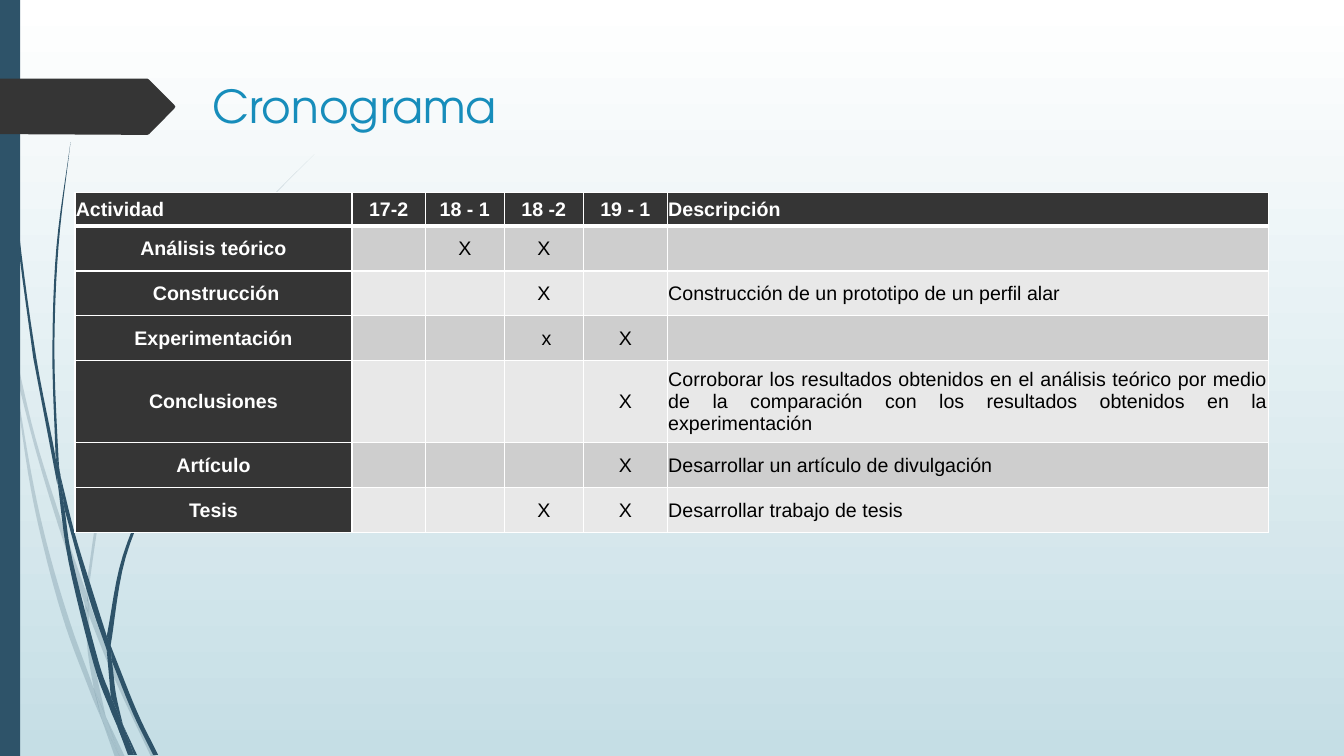
from lxml.etree import SubElement
from pptx import Presentation
from pptx.dml.color import RGBColor
from pptx.enum.shapes import MSO_SHAPE as Preset
from pptx.enum.text import MSO_ANCHOR as Anchor, PP_ALIGN as Align
from pptx.oxml.ns import qn
from pptx.util import Cm, Pt

WHITE = RGBColor(0xFF, 0xFF, 0xFF)
BLACK = RGBColor(0x00, 0x00, 0x00)
PALE_BLUE = RGBColor(0xC5, 0xDE, 0xE5)
NAVY = RGBColor(0x2E, 0x53, 0x69)
TITLE_BLUE = RGBColor(0x17, 0x8D, 0xBB)
CHARCOAL = RGBColor(0x35, 0x35, 0x35)
DARK_BAND = RGBColor(0xCE, 0xCE, 0xCE)
LIGHT_BAND = RGBColor(0xE8, 0xE8, 0xE8)
INCH = 2.54
STEPS = 6


def paint(shape, color):
    shape.fill.solid()
    shape.fill.fore_color.rgb = color
    shape.line.fill.background()
    shape.shadow.inherit = False


def smooth(edge):
    first = [2 * a - b for a, b in zip(edge[0], edge[1])]
    last = [2 * a - b for a, b in zip(edge[-1], edge[-2])]
    padded = [first, *edge, last]
    points = []
    for before, start, end, after in zip(padded, padded[1:], padded[2:], padded[3:]):
        for step in range(STEPS):
            t = step / STEPS
            points.append(tuple(
                Cm(INCH * (b + t * (c - a) / 2
                           + t**2 * (2 * a - 5 * b + 4 * c - d) / 2
                           + t**3 * (3 * b - a - 3 * c + d) / 2))
                for a, b, c, d in zip(before, start, end, after)))
    return points + [tuple(Cm(INCH * value) for value in edge[-1])]


presentation = Presentation()
presentation.slide_width = Cm(33.87)
presentation.slide_height = Cm(19.05)
slide = presentation.slides.add_slide(presentation.slide_layouts[6])

background = slide.background.fill
background.gradient()
background.gradient_angle = 270
for stop, color in zip(background.gradient_stops, (WHITE, PALE_BLUE)):
    stop.color.rgb = color

faint_blades = [
    ([(0, 2.82), (0.09, 3.22), (0.11, 3.5)], [(0.1, 3.44), (0, 2.99)]),
    ([(0.14, 3.45), (0.35, 4.34), (0.62, 5.2), (0.85, 5.86)],
     [(0.84, 5.99), (0.58, 5.22), (0.36, 4.49), (0.17, 3.76)]),
    ([(0.88, 5.96), (1.08, 6.49), (1.27, 6.92), (1.55, 7.51)],
     [(1.5, 7.51), (1.23, 6.94), (1.05, 6.53), (0.88, 6.1)]),
    ([(1.05, 7.11), (1.24, 7.51)], [(1.19, 7.51), (1.05, 7.11)]),
    ([(0.11, 3.5), (0.31, 4.69), (0.48, 5.45), (0.7, 6.19), (0.93, 6.83), (1.01, 7.14)],
     [(0.92, 6.93), (0.65, 6.21), (0.44, 5.46), (0.28, 4.7), (0.11, 3.5)]),
    ([(0.84, 5.99), (0.88, 6.1), (0.91, 6.46), (1.05, 7.11)],
     [(0.93, 6.83), (0.87, 6.46), (0.84, 5.99)]),
    ([(3.12, 1.53), (2.68, 1.98), (2.29, 2.45), (1.6, 3.49), (1.1, 4.62), (0.88, 5.84),
      (0.88, 5.96)],
     [(0.85, 5.84), (1.07, 4.61), (1.58, 3.48), (2.28, 2.44), (2.68, 1.97), (3.12, 1.53)]),
    ([(1.01, 7.14), (1.19, 7.51)], [(1.14, 7.51), (1.01, 7.14)]),
    ([(0.85, 5.86), (0.88, 5.96), (0.88, 6.1)], [(0.84, 5.99), (0.85, 5.86)]),
    ([(0.93, 6.83), (1.05, 7.11), (1.19, 7.51)], [(1.01, 7.14), (0.93, 6.83)]),
]
solid_blades = [
    ([(0.04, 0), (0.08, 1.09), (0.19, 2.32), (0.36, 3.55), (0.55, 4.53), (0.57, 4.81)],
     [(0.33, 3.55), (0.17, 2.33), (0.07, 1.1), (0.03, 0)]),
    ([(0.6, 4.72), (0.75, 5.32), (0.93, 5.9), (1.06, 6.31)],
     [(1.06, 6.45), (0.88, 5.92), (0.64, 5.05)]),
    ([(1.1, 6.41), (1.36, 7.06), (1.57, 7.49)],
     [(1.52, 7.49), (1.32, 7.08), (1.11, 6.56)]),
    ([(0.57, 4.77), (0.64, 5.05), (0.72, 5.56), (0.98, 6.57), (1.1, 6.91), (1.17, 7.22)],
     [(1.11, 7.08), (0.93, 6.59), (0.68, 5.57), (0.57, 4.77)]),
    ([(0.7, 1.41), (0.58, 2.45), (0.54, 3.49), (0.58, 4.53), (0.6, 4.72)],
     [(0.55, 4.49), (0.52, 3.49), (0.56, 2.45), (0.7, 1.41)]),
    ([(1.22, 7.19), (1.36, 7.49)], [(1.33, 7.49), (1.22, 7.19)]),
    ([(0.55, 4.49), (0.6, 4.72), (0.64, 5.05)], [(0.57, 4.77), (0.55, 4.49)]),
    ([(2.6, 3.44), (2.31, 3.74), (2.05, 4.06), (1.58, 4.76), (1.25, 5.52), (1.11, 6.33),
      (1.1, 6.41)],
     [(1.06, 6.31), (1.22, 5.51), (1.56, 4.74), (2.04, 4.05), (2.31, 3.73), (2.6, 3.44)]),
    ([(1.17, 7.22), (1.31, 7.49)], [(1.27, 7.49), (1.17, 7.22)]),
    ([(1.06, 6.45), (1.11, 6.56), (1.15, 6.88), (1.22, 7.19)],
     [(1.1, 6.91), (1.06, 6.45)]),
    ([(1.06, 6.31), (1.1, 6.41), (1.11, 6.56)], [(1.06, 6.45), (1.06, 6.31)]),
    ([(1.1, 6.91), (1.22, 7.19), (1.33, 7.49)],
     [(1.3, 7.49), (1.17, 7.22), (1.1, 6.91)]),
]
for blades, opacity in ((faint_blades, 20), (solid_blades, 100)):
    for right_edge, left_edge in blades:
        outline = smooth(right_edge) + smooth(left_edge)
        builder = slide.shapes.build_freeform(*outline[0])
        builder.add_line_segments(outline[1:], close=True)
        blade = builder.convert_to_shape()
        paint(blade, NAVY)
        if opacity < 100:
            color_element = blade.fill._xPr.find(qn("a:solidFill"))[0]
            SubElement(color_element, qn("a:alpha"), val=str(opacity * 1000))

side_bar = slide.shapes.add_shape(Preset.RECTANGLE, 0, 0, Cm(0.51), Cm(19.05))
paint(side_bar, NAVY)

arrow_outline = [(0, 1.98), (3.71, 1.98), (3.76, 2.01), (4.39, 2.64), (4.42, 2.69),
                 (4.39, 2.74), (3.76, 3.38), (3.71, 3.4), (0, 3.38)]
arrow_points = [(Cm(x), Cm(y)) for x, y in arrow_outline]
arrow_builder = slide.shapes.build_freeform(*arrow_points[0])
arrow_builder.add_line_segments(arrow_points[1:], close=True)
paint(arrow_builder.convert_to_shape(), CHARCOAL)

schedule = [
    ("Actividad", "17-2", "18 - 1", "18 -2", "19 - 1", "Descripción"),
    ("Análisis teórico", "", "X", "X", "", ""),
    (" Construcción", "", "", "X", "", "Construcción de un prototipo de un perfil alar"),
    ("Experimentación", "", "", " x", "X", ""),
    ("Conclusiones", "", "", "", "X",
     "Corroborar los resultados obtenidos en el análisis teórico por medio de la "
     "comparación con los resultados obtenidos en la experimentación"),
    ("Artículo", "", "", "", "X", "Desarrollar un artículo de divulgación"),
    ("Tesis", "", "", "X", "X", "Desarrollar trabajo de tesis"),
]
column_widths = [6.98, 1.85, 1.99, 1.99, 2.12, 15.14]
row_heights = [0.84, 1.13, 1.13, 1.13, 2.07, 1.13, 1.13]
table = slide.shapes.add_table(
    len(row_heights), len(column_widths), Cm(1.89), Cm(4.86),
    Cm(sum(column_widths)), Cm(sum(row_heights))).table
for column, width in zip(table.columns, column_widths):
    column.width = Cm(width)
for row, height in zip(table.rows, row_heights):
    row.height = Cm(height)

for row_index, row_texts in enumerate(schedule):
    for column_index, text in enumerate(row_texts):
        cell = table.cell(row_index, column_index)
        is_heading = row_index == 0 or column_index == 0
        cell.margin_left = cell.margin_right = cell.margin_top = Cm(0.02)
        cell.margin_bottom = 0
        cell.vertical_anchor = Anchor.MIDDLE

        for side in ("L", "R", "T", "B"):
            below_header = (row_index, side) in ((0, "B"), (1, "T"))
            border = SubElement(cell._tc.get_or_add_tcPr(), qn(f"a:ln{side}"),
                                w=str(Pt(3 if below_header else 1)))
            border_fill = SubElement(border, qn("a:solidFill"))
            SubElement(border_fill, qn("a:srgbClr"), val=str(WHITE))

        cell.fill.solid()
        band = DARK_BAND if row_index % 2 else LIGHT_BAND
        cell.fill.fore_color.rgb = CHARCOAL if is_heading else band

        cell.text_frame.text = text
        paragraph = cell.text_frame.paragraphs[0]
        paragraph.alignment = Align.JUSTIFY if column_index == 5 else Align.CENTER
        if row_index == column_index == 0:
            paragraph.alignment = Align.LEFT
        for run in paragraph.runs:
            run.font.name = "Arial"
            run.font.size = Pt(14)
            run.font.bold = is_heading
            run.font.color.rgb = WHITE if is_heading else BLACK

title = slide.shapes.add_textbox(Cm(5.11), Cm(1.85), Cm(10.39), Cm(2.46))
title.text_frame.word_wrap = True
title.text_frame.text = "Cronograma"
title_font = title.text_frame.paragraphs[0].runs[0].font
title_font.name = "TeX Gyre Adventor"
title_font.size = Pt(32.4)
title_font.color.rgb = TITLE_BLUE

presentation.save("out.pptx")
